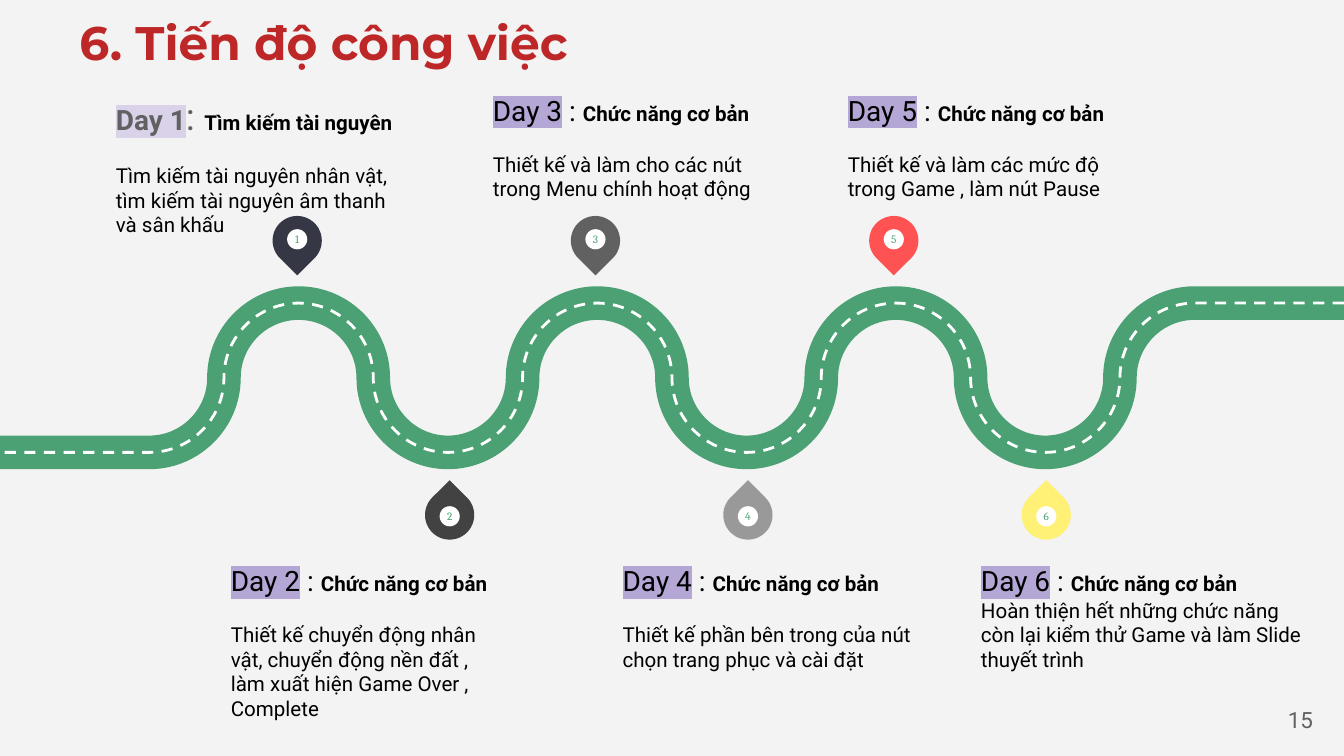
"""Build the winding-road work schedule slide."""
from dataclasses import dataclass

from lxml import etree
from pptx import Presentation
from pptx import util as u
from pptx.dml.color import RGBColor
from pptx.enum import dml, shapes, text
from pptx.oxml.ns import qn


@dataclass(frozen=True)
class Theme:
    bg: str = "F3F3F3"
    road: str = "4BA173"
    white: str = "FFFFFF"
    title: str = "BE2727"
    ink: str = "000000"
    muted: str = "616161"
    title_font: str = "Montserrat"
    body_font: str = "Roboto"
    pin_font: str = "Cambria"
    title_size: float = 25.2
    day_size: float = 15
    body_size: float = 11
    page_size: float = 12
    pin_size: float = 6


@dataclass(frozen=True)
class Box:
    x: float
    y: float
    w: float
    h: float


@dataclass(frozen=True)
class Day:
    number: int
    pin: str
    box: Box
    body: str
    heading: str = "Chức năng cơ bản"
    gap: float = 13.2
    mark: str = "B4A7D6"
    colour: str = Theme.ink
    bold: bool = False
    colon: str = " : "
    colon_size: float = Theme.day_size


T = Theme()
WIDTH, HEIGHT = 720, 405
BEND, ROAD_Y, ROUNDNESS = 40, 202.4, 0.55
PIN_STEP = 79.9
UPPER, LOWER = 42.9, 294.9
DAYS = [
    Day(1, "353744", Box(55, UPPER, 167, 104.4),
        "Tìm kiếm tài nguyên nhân vật, tìm kiếm tài nguyên âm thanh và sân khấu",
        heading="Tìm kiếm tài nguyên", mark="D9D2E9", colour=T.muted,
        bold=True, colon=": ", colon_size=20),
    Day(2, "424242", Box(116.6, LOWER, 160, 116.6),
        "Thiết kế chuyển động nhân vật, chuyển động nền đất , "
        "làm xuất hiện Game Over , Complete"),
    Day(3, "616161", Box(257, UPPER, 160, 90),
        "Thiết kế và làm cho các nút trong Menu chính hoạt động"),
    Day(4, "999999", Box(326.5, LOWER, 185, 72.7),
        "Thiết kế phần bên trong của nút chọn trang phục và cài đặt"),
    Day(5, "FF5252", Box(447.1, UPPER, 160, 72.7),
        "Thiết kế và làm các mức độ trong Game , làm nút Pause"),
    Day(6, "FFF176", Box(518.4, LOWER, 193.7, 72.7),
        "Hoàn thiện hết những chức năng còn lại kiểm thử Game và làm Slide thuyết trình",
        gap=0),
]


def rgb(colour: str) -> RGBColor:
    return RGBColor.from_string(colour)


def style(font, size: float, colour: str, name: str, bold: bool = False) -> None:
    font.size, font.name, font.bold = u.Pt(size), name, bold
    font.color.rgb = rgb(colour)


def add_run(p, words: str, size: float, colour: str, bold: bool, mark: str = "") -> None:
    r = p.add_run()
    r.text = words
    style(r.font, size, colour, T.body_font, bold)
    if mark:
        highlight = etree.Element(qn("a:highlight"))
        etree.SubElement(highlight, qn("a:srgbClr"), val=mark)
        r.font._element.find(qn("a:solidFill")).addnext(highlight)


def add_text(s, box: Box, anchor=text.MSO_ANCHOR.TOP):
    tf = s.shapes.add_textbox(*map(u.Pt, (box.x, box.y, box.w, box.h))).text_frame
    tf.word_wrap, tf.vertical_anchor = True, anchor
    tf.margin_left = tf.margin_right = tf.margin_top = tf.margin_bottom = u.Pt(7.2)
    return tf


def add_line_of_text(s, box: Box, words: str, size: float, colour: str, name: str,
                     bold: bool = False, anchor=text.MSO_ANCHOR.TOP):
    p = add_text(s, box, anchor).paragraphs[0]
    p.text = words
    style(p.font, size, colour, name, bold)
    return p


def road_anchors() -> list[tuple[int, int]]:
    heights = (-BEND, 0, BEND, 0)
    quarters = WIDTH // BEND - 4
    bends = [(WIDTH - BEND * (i + 2), ROAD_Y + heights[i % 4]) for i in range(quarters + 1)]
    points = [(WIDTH, ROAD_Y - BEND), *bends, (0, ROAD_Y + BEND)]
    return [(u.Pt(x), u.Pt(y)) for x, y in points]


def round_bends(sp) -> None:
    """Turn each quarter bend of the road into a cubic curve."""
    steps = list(sp._element.iter(qn("a:lnTo")))
    ends = [(int(pt.get("x")), int(pt.get("y"))) for pt in (step[0] for step in steps)]
    for i in range(1, len(steps) - 1):
        (x0, y0), (x1, y1) = ends[i - 1], ends[i]
        dx, dy = round(ROUNDNESS * (x1 - x0)), round(ROUNDNESS * (y1 - y0))
        controls = ((x0 + dx, y0), (x1, y1 - dy)) if i % 2 else ((x0, y0 + dy), (x1 - dx, y1))
        curve = etree.Element(qn("a:cubicBezTo"))
        for x, y in (*controls, (x1, y1)):
            etree.SubElement(curve, qn("a:pt"), x=str(x), y=str(y))
        steps[i].getparent().replace(steps[i], curve)


def add_road(s, colour: str, width: float, dash=None) -> None:
    start, *rest = road_anchors()
    builder = s.shapes.build_freeform(*start)
    builder.add_line_segments(rest, close=False)
    sp = builder.convert_to_shape()
    round_bends(sp)
    sp.shadow.inherit = False
    sp.fill.background()
    sp.line.color.rgb, sp.line.width = rgb(colour), u.Pt(width)
    if dash:
        sp.line.dash_style = dash


def add_disc(group, kind, x: float, y: float, size: float, colour: str):
    sp = group.shapes.add_shape(kind, u.Pt(x - size / 2), u.Pt(y - size / 2),
                                u.Pt(size), u.Pt(size))
    sp.shadow.inherit = False
    sp.fill.solid()
    sp.fill.fore_color.rgb = rgb(colour)
    sp.line.fill.background()
    return sp


def add_pin(s, day: Day) -> None:
    side = -1 if day.number % 2 else 1
    x, y = PIN_STEP * (day.number + 1) + 0.3 + 0.9 * side, ROAD_Y + 73.5 * side
    group = s.shapes.add_group_shape()
    drop = add_disc(group, shapes.MSO_SHAPE.TEAR, x, y, 26.4, day.pin)
    drop.rotation = 135 if side < 0 else 315
    dot = add_disc(group, shapes.MSO_SHAPE.OVAL, x, y + 0.7 * side, 10.8, T.white)
    tf = dot.text_frame
    tf.margin_left = tf.margin_right = tf.margin_top = tf.margin_bottom = 0
    tf.vertical_anchor = text.MSO_ANCHOR.MIDDLE
    p = tf.paragraphs[0]
    p.text, p.alignment = str(day.number), text.PP_ALIGN.CENTER
    style(p.font, T.pin_size, T.road, T.pin_font)


def add_day(s, day: Day) -> None:
    tf = add_text(s, day.box)
    p = tf.paragraphs[0]
    add_run(p, f"Day {day.number}", T.day_size, day.colour, day.bold, day.mark)
    add_run(p, day.colon, day.colon_size, day.colour, False)
    add_run(p, day.heading, T.body_size, T.ink, True)
    p = tf.add_paragraph()
    p.text, p.space_before = day.body, u.Pt(day.gap)
    style(p.font, T.body_size, T.ink, T.body_font)


def main() -> None:
    prs = Presentation()
    prs.slide_width, prs.slide_height = u.Pt(WIDTH), u.Pt(HEIGHT)
    s = prs.slides.add_slide(prs.slide_layouts[6])
    s.background.fill.solid()
    s.background.fill.fore_color.rgb = rgb(T.bg)
    add_road(s, T.road, 18)
    add_road(s, T.white, 1.5, dml.MSO_LINE.DASH)
    for day in DAYS:
        add_pin(s, day)
    title = add_line_of_text(s, Box(35.5, 6.1, 314, 36), "6. Tiến độ công việc", T.title_size,
                             T.title, T.title_font, True, text.MSO_ANCHOR.MIDDLE)
    title.line_spacing = 0.9
    for day in DAYS:
        add_day(s, day)
    add_line_of_text(s, Box(682.9, 371.2, 45.4, 29.5), "15", T.page_size, T.muted, T.body_font)
    prs.save("out.pptx")


if __name__ == "__main__":
    main()
